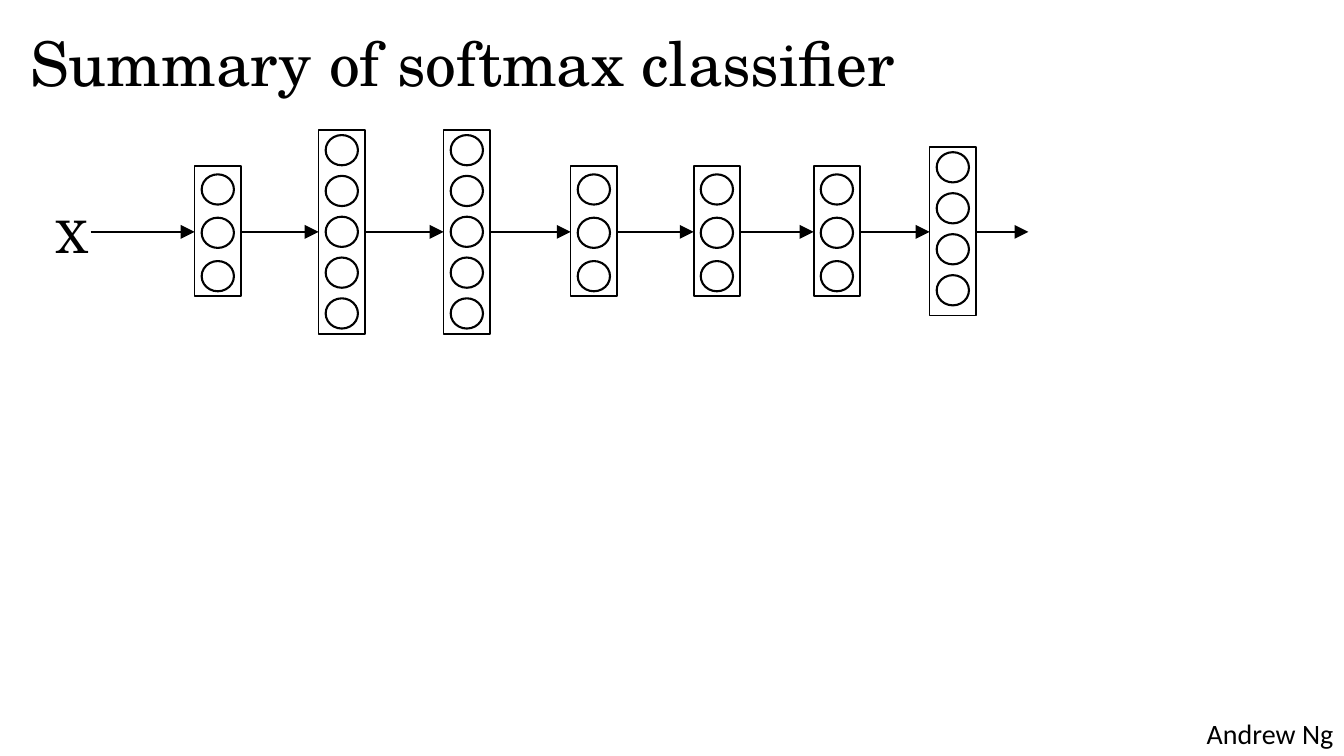
from pptx import Presentation
from pptx.dml.color import RGBColor
from pptx.enum.shapes import MSO_CONNECTOR as Connector, MSO_SHAPE as Shape
from pptx.enum.text import MSO_ANCHOR as Anchor
from pptx.oxml.ns import qn
from pptx.util import Inches, Pt
from lxml import etree

BLACK = RGBColor(0, 0, 0)
SERIF = "TeX Gyre Schola"
SANS = "Calibri"

AXIS_Y = 2.3
LAYER_WIDTH = 0.46
NODE_WIDTH, NODE_HEIGHT = 0.32, 0.3
INPUT_RIGHT, OUTPUT_RIGHT = 0.9, 10.2

# Left edge and node count of each layer
LAYERS = [(1.93, 3), (3.16, 5), (4.4, 5), (5.66, 3), (6.88, 3), (8.07, 3), (9.22, 4)]
# Node count: layer top, layer height, first node top, last node top
LAYOUTS = {
    3: (1.65, 1.29, 1.73, 2.59),
    4: (1.46, 1.67, 1.51, 2.73),
    5: (1.29, 2.02, 1.34, 2.96),
}


def add_text(slide, text, left, top, width, height, size, font):
    box = slide.shapes.add_textbox(
        Inches(left), Inches(top), Inches(width), Inches(height))
    frame = box.text_frame
    frame.word_wrap = True
    frame.margin_right = 0
    frame.vertical_anchor = Anchor.TOP
    para = frame.paragraphs[0]
    para.text = text
    para.font.size = Pt(size)
    para.font.name = font
    para.font.color.rgb = BLACK


def add_outline(slide, kind, left, top, width, height, line_width):
    """Add an unfilled shape with a black line."""
    shape = slide.shapes.add_shape(
        kind, Inches(left), Inches(top), Inches(width), Inches(height))
    shape.shadow.inherit = False
    shape.fill.background()
    shape.line.color.rgb = BLACK
    shape.line.width = Pt(line_width)


def add_layer(slide, left, count):
    top, height, first_top, last_top = LAYOUTS[count]
    add_outline(slide, Shape.RECTANGLE, left, top, LAYER_WIDTH, height, 1.25)
    node_left = left + (LAYER_WIDTH - NODE_WIDTH) / 2
    pitch = (last_top - first_top) / (count - 1)
    for index in range(count):
        add_outline(slide, Shape.OVAL, node_left, first_top + index * pitch,
                    NODE_WIDTH, NODE_HEIGHT, 1.5)


def add_arrow(slide, start, end):
    """Add an arrow along the network's axis."""
    arrow = slide.shapes.add_connector(
        Connector.STRAIGHT, Inches(start), Inches(AXIS_Y), Inches(end), Inches(AXIS_Y))
    arrow.line.color.rgb = BLACK
    arrow.line.width = Pt(1)
    properties = arrow.element.spPr
    etree.SubElement(properties.find(qn("a:ln")), qn("a:tailEnd"),
                     type="triangle", w="lg", len="lg")
    etree.SubElement(properties, qn("a:effectLst"))


def main():
    deck = Presentation()
    deck.slide_width, deck.slide_height = Inches(13.33), Inches(7.5)
    slide = deck.slides.add_slide(deck.slide_layouts[6])

    add_text(slide, "Summary of softmax classifier", 0.2, 0.2, 13.13, 1.45, 44, SERIF)
    add_text(slide, "X", 0.46, 2.02, 0.51, 0.63, 32, SERIF)
    add_text(slide, "Andrew Ng", 11.87, 7.06, 1.45, 0.43, 20, SANS)

    start = INPUT_RIGHT
    for left, count in LAYERS:
        add_arrow(slide, start, left)
        add_layer(slide, left, count)
        start = left + LAYER_WIDTH
    add_arrow(slide, start, OUTPUT_RIGHT)

    deck.save("out.pptx")


if __name__ == "__main__":
    main()
